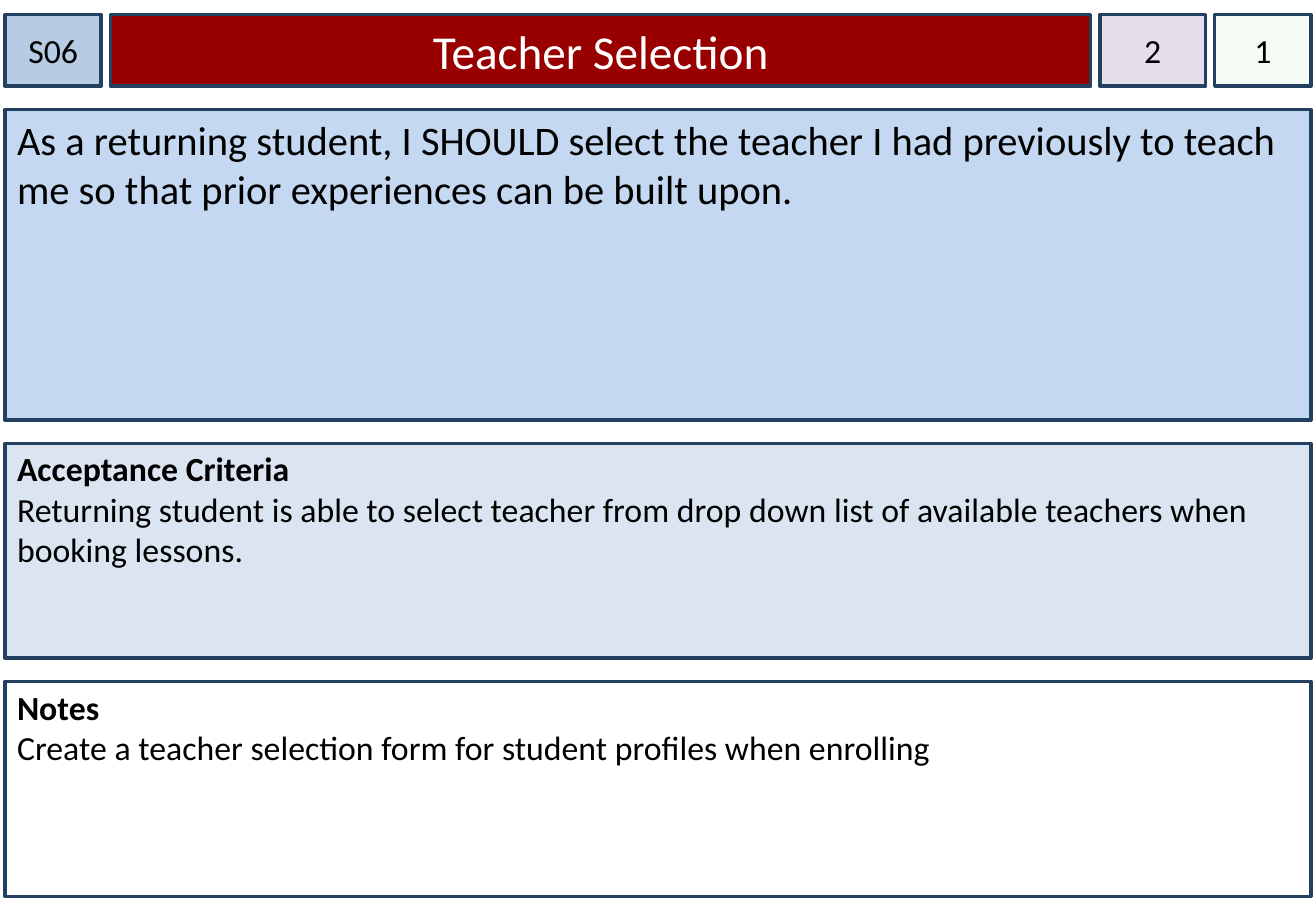
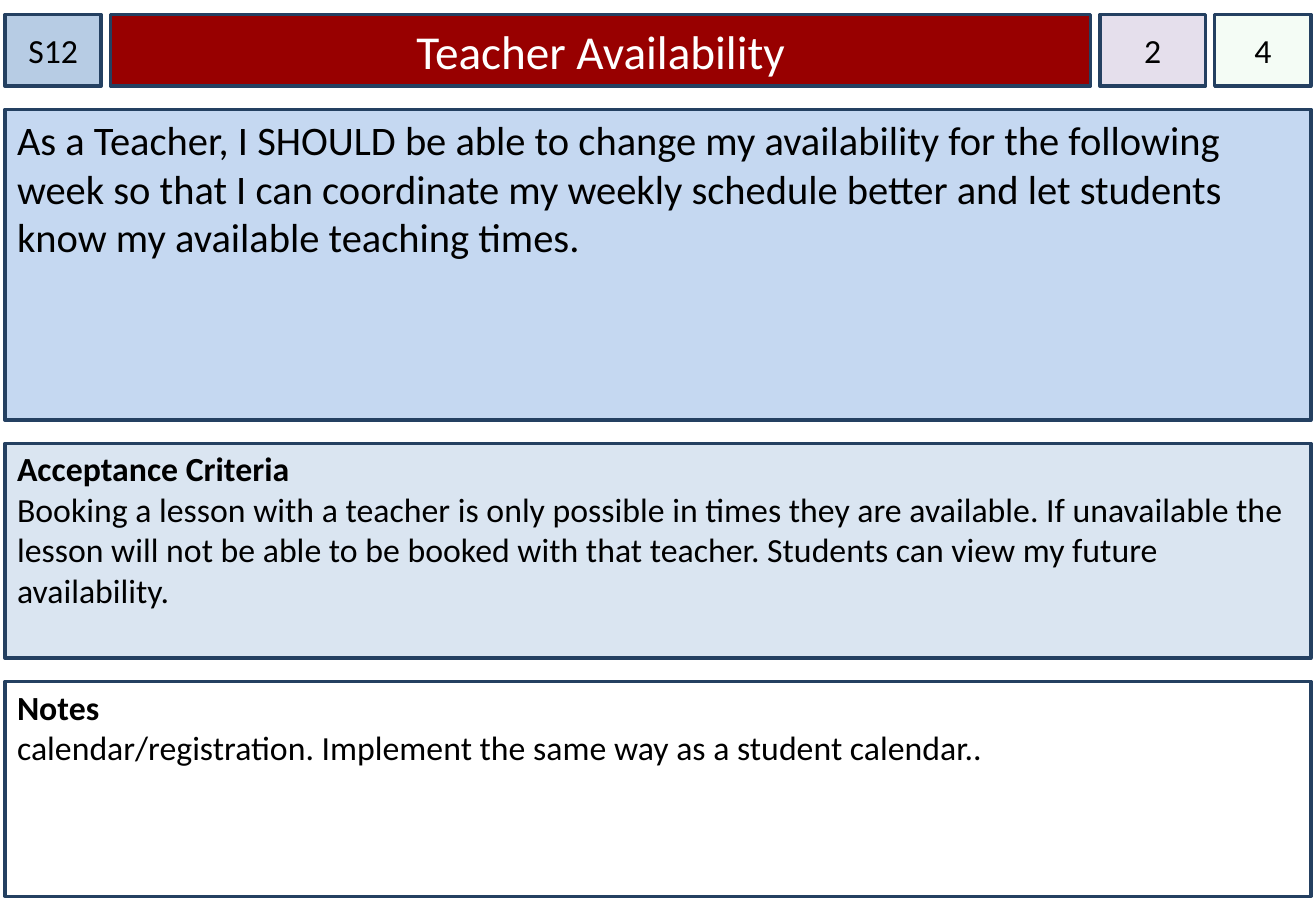
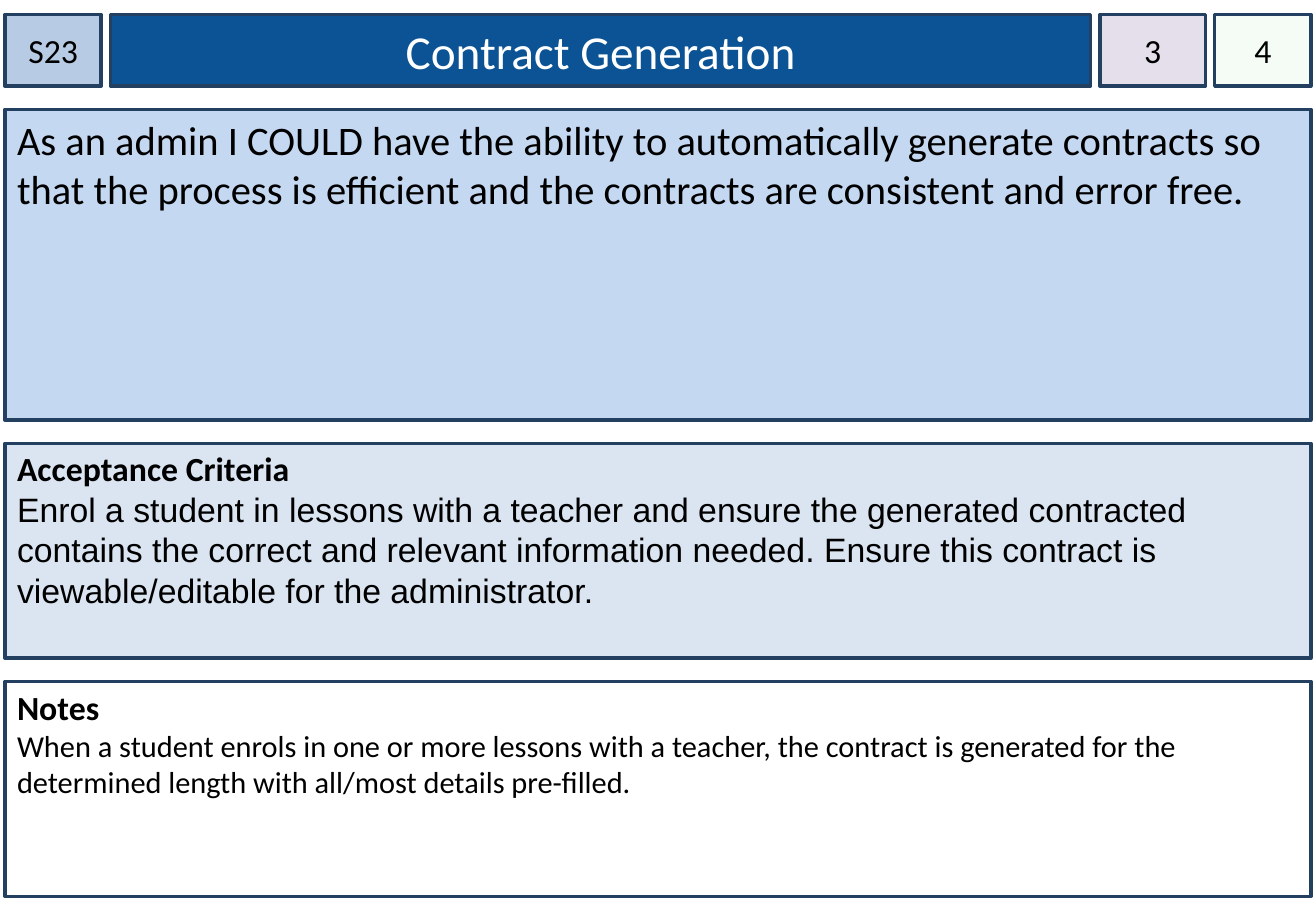
"""Build three user story cards from one shared layout."""
from dataclasses import dataclass

import pptx
import pptx.dml.color
import pptx.enum.shapes
import pptx.enum.text
import pptx.oxml.ns
import pptx.slide
import pptx.util
from lxml import etree

Pt = pptx.util.Pt
RGBColor = pptx.dml.color.RGBColor
Align = pptx.enum.text.PP_ALIGN
Anchor = pptx.enum.text.MSO_ANCHOR

BLACK = RGBColor(0x00, 0x00, 0x00)
WHITE = RGBColor(0xFF, 0xFF, 0xFF)
NAVY = RGBColor(0x24, 0x40, 0x61)
RED = RGBColor(0x98, 0x00, 0x00)
BLUE = RGBColor(0x0B, 0x53, 0x94)
STEEL = RGBColor(0xB7, 0xCC, 0xE4)
SKY = RGBColor(0xC5, 0xD8, 0xF1)
MIST = RGBColor(0xDA, 0xE5, 0xF1)
LILAC = RGBColor(0xE5, 0xDF, 0xEC)
MINT = RGBColor(0xCC, 0xF0, 0xCD)

WIDTH, HEIGHT = 780, 540
LEFT, TOP, SPAN = 3, 8.6, 774
HEAD = 42.5
GAP = 13.7
TILES = (57, 581, 62.6, 57)
PANELS = (184.3, 127.4, 127.4)


@dataclass(frozen=True)
class Span:
    """A run of text with its look."""
    text: str
    size: float = 20
    bold: bool = False
    font: str = "Calibri"
    color: RGBColor = BLACK


@dataclass(frozen=True)
class Box:
    """A framed box whose spans are one paragraph each."""
    fill: RGBColor
    spans: tuple[Span, ...]
    center: bool = False
    side: float = 7.2
    top: float = 3.6
    alpha: int = 100


@dataclass(frozen=True)
class Story:
    """The content of one card."""
    code: str
    title: str
    band: RGBColor
    rank: str
    cost: str
    story: str
    test: Span
    note: Span


STORIES = (
    Story(
        "S06", "Teacher Selection", RED, "2", "1",
        "As a returning student, I SHOULD select the teacher I had previously "
        "to teach me so that prior experiences can be built upon.",
        Span("Returning student is able to select teacher from drop down list "
             "of available teachers when booking lessons."),
        Span("Create a teacher selection form for student profiles when enrolling"),
    ),
    Story(
        "S12", "Teacher Availability", RED, "2", "4",
        "As a Teacher, I SHOULD be able to change my availability for the "
        "following week so that I can coordinate my weekly schedule better "
        "and let students know my available teaching times.",
        Span("Booking a lesson with a teacher is only possible in times they "
             "are available. If unavailable the lesson will not be able to be "
             "booked with that teacher. Students can view my future availability."),
        Span("calendar/registration. Implement the same way as a student calendar.."),
    ),
    Story(
        "S23", "Contract Generation", BLUE, "3", "4",
        "As an admin I COULD have the ability to automatically generate "
        "contracts so that the process is efficient and the contracts are "
        "consistent and error free.",
        Span("Enrol a student in lessons with a teacher and ensure the generated "
             "contracted contains the correct and relevant information needed. "
             "Ensure this contract is viewable/editable for the administrator.",
             font="Arial"),
        Span("When a student enrols in one or more lessons with a teacher, the "
             "contract is generated for the determined length with all/most "
             "details pre-filled.", size=18),
    ),
)


def draw_box(slide: pptx.slide.Slide, box: Box, left: float, top: float,
             width: float, height: float) -> None:
    """Draw a framed box and its text."""
    shape = slide.shapes.add_shape(
        pptx.enum.shapes.MSO_SHAPE.RECTANGLE,
        Pt(left), Pt(top), Pt(width), Pt(height))
    shape.shadow.inherit = False
    shape.fill.solid()
    shape.fill.fore_color.rgb = box.fill
    if box.alpha < 100:
        qn = pptx.oxml.ns.qn
        color = shape.fill._xPr.find(qn("a:solidFill")).find(qn("a:srgbClr"))
        etree.SubElement(color, qn("a:alpha"), val=str(box.alpha * 1000))
    shape.line.color.rgb = NAVY
    shape.line.width = Pt(2)

    frame = shape.text_frame
    frame.word_wrap = True
    frame.vertical_anchor = Anchor.MIDDLE if box.center else Anchor.TOP
    frame.margin_left = frame.margin_right = Pt(box.side)
    frame.margin_top, frame.margin_bottom = Pt(box.top), Pt(3.6)
    for index, span in enumerate(box.spans):
        para = frame.add_paragraph() if index else frame.paragraphs[0]
        para.alignment = Align.CENTER if box.center else Align.LEFT
        run = para.add_run()
        run.text = span.text
        run.font.size = Pt(span.size)
        run.font.bold = span.bold
        run.font.name = span.font
        run.font.color.rgb = span.color


def draw_card(slide: pptx.slide.Slide, card: Story) -> None:
    """Draw the header row and the stacked panels of a card."""
    tiles = (
        Box(STEEL, (Span(card.code),), center=True, side=0),
        Box(card.band, (Span(card.title, 28, color=WHITE),), center=True),
        Box(LILAC, (Span(card.rank),), center=True, side=0),
        Box(MINT, (Span(card.cost),), center=True, side=0, alpha=20),
    )
    gap = (SPAN - sum(TILES)) / (len(TILES) - 1)
    left = LEFT
    for tile, width in zip(tiles, TILES):
        draw_box(slide, tile, left, TOP, width, HEAD)
        left += width + gap

    panels = (
        Box(SKY, (Span(card.story, 24),)),
        Box(MIST, (Span("Acceptance Criteria", bold=True), card.test), top=2.9),
        Box(WHITE, (Span("Notes", bold=True), card.note), top=2.9),
    )
    top = TOP + HEAD + GAP
    for panel, height in zip(panels, PANELS):
        draw_box(slide, panel, LEFT, top, SPAN, height)
        top += height + GAP


def main() -> None:
    """Build and save the deck."""
    deck = pptx.Presentation()
    deck.slide_width, deck.slide_height = Pt(WIDTH), Pt(HEIGHT)
    for card in STORIES:
        draw_card(deck.slides.add_slide(deck.slide_layouts[6]), card)
    deck.save("out.pptx")


if __name__ == "__main__":
    main()
